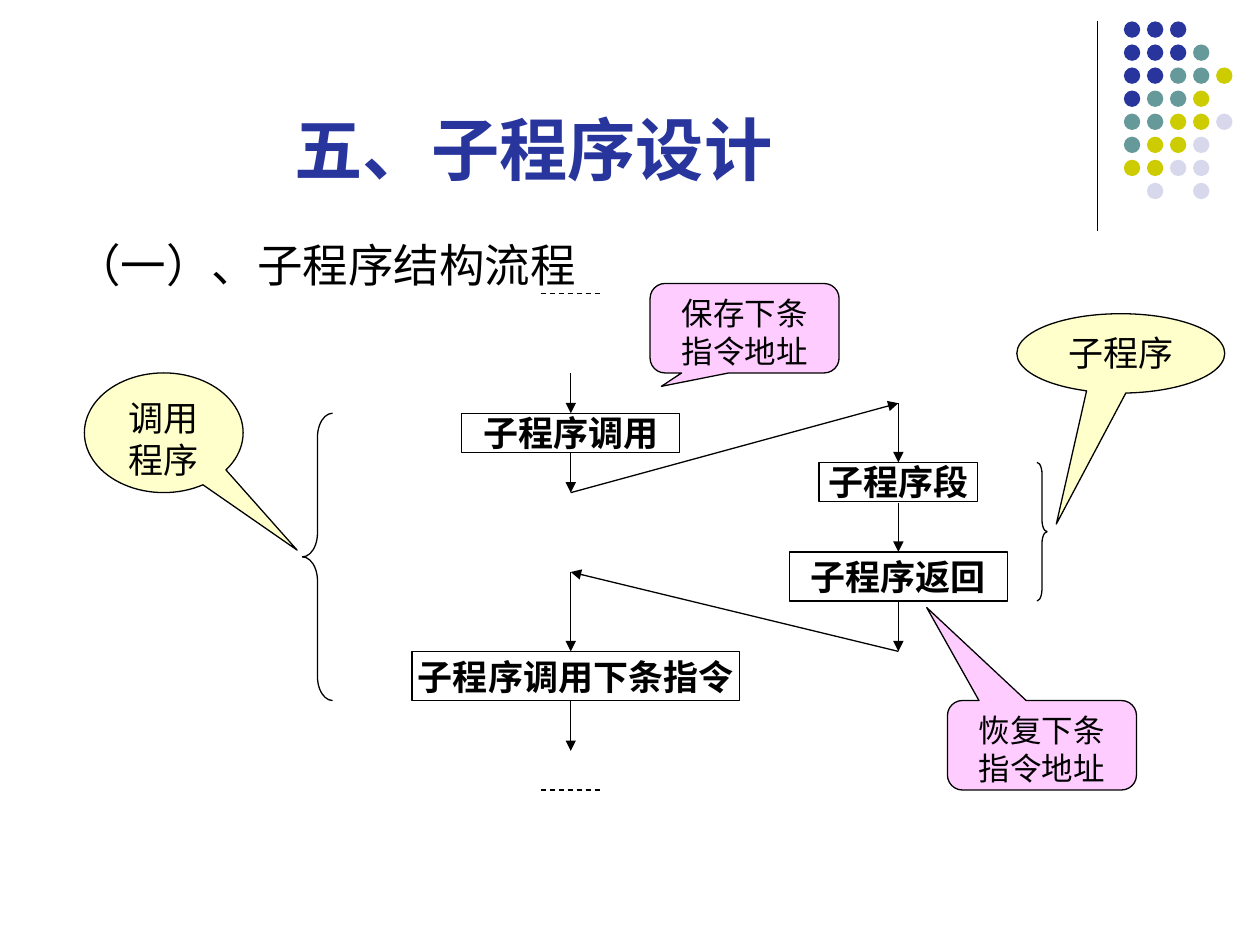
"""Build the slide on the structure and flow of a subroutine."""
from lxml.etree import SubElement
from pptx import Presentation
from pptx.dml.color import RGBColor
from pptx.enum.dml import MSO_LINE
from pptx.enum.shapes import MSO_CONNECTOR, MSO_SHAPE
from pptx.enum.text import MSO_ANCHOR, PP_ALIGN
from pptx.oxml.ns import qn
from pptx.util import Inches, Pt

THEME = {
    "font": "Arial",
    "ink": RGBColor.from_string("000000"),
    "title": RGBColor.from_string("27359D"),
    "yellow": RGBColor.from_string("FFFFCC"),
    "pink": RGBColor.from_string("FFCCFF"),
    "dots": {
        "B": RGBColor.from_string("27359D"),
        "T": RGBColor.from_string("669999"),
        "Y": RGBColor.from_string("CCCC00"),
        "L": RGBColor.from_string("D8D8EC"),
    },
    "title_size": Pt(39),
    "body_size": Pt(26),
    "label_size": Pt(20),
    "note_size": Pt(18),
    "line": Pt(0.75),
}


def add_shape(kind, box, fill=None, line=True):
    sp = s.shapes.add_shape(kind, *map(Inches, box))
    sp.shadow.inherit = False
    if fill is None:
        sp.fill.background()
    else:
        sp.fill.solid()
        sp.fill.fore_color.rgb = fill
    if line:
        sp.line.color.rgb = THEME["ink"]
        sp.line.width = THEME["line"]
    else:
        sp.line.fill.background()
    return sp


def write(sp, text, size, color, bold=False, align=PP_ALIGN.CENTER, anchor=MSO_ANCHOR.TOP, wrap=True):
    tf = sp.text_frame
    tf.text = text
    tf.word_wrap = wrap
    tf.vertical_anchor = anchor
    p = tf.paragraphs[0]
    p.alignment = align
    r = p.runs[0]
    r.font.name = THEME["font"]
    r.font.size = size
    r.font.bold = bold
    r.font.color.rgb = color
    return p


prs = Presentation()
prs.slide_width, prs.slide_height = Inches(10), Inches(7.5)
s = prs.slides.add_slide(prs.slide_layouts[6])

dot_rows = ["BBB", "BBBT", "BBTTY", "BTTY", "TTYYL", "TYYL", "YYLL", " L L"]
for row, codes in enumerate(dot_rows):
    for col, code in enumerate(codes):
        if code != " ":
            box = (8.92 + col * 0.183, 0.17 + row * 0.183, 0.13, 0.13)
            add_shape(MSO_SHAPE.OVAL, box, THEME["dots"][code], line=False)

title = s.shapes.add_textbox(Inches(2.24), Inches(0.13), Inches(5.2), Inches(1.42))
write(title, "五、子程序设计", THEME["title_size"], THEME["title"], bold=True,
      align=PP_ALIGN.LEFT, anchor=MSO_ANCHOR.BOTTOM)

heading = s.shapes.add_textbox(Inches(0.5), Inches(1.88), Inches(9), Inches(0.49))
p = write(heading, "（一）、子程序结构流程", THEME["body_size"], THEME["ink"], align=PP_ALIGN.LEFT)
p.line_spacing = 0.9

main_x, sub_x = 4.53, 7.13
steps = [
    ("子程序调用", main_x, 3.28, 1.73, 0.31),
    ("子程序调用下条指令", main_x + 0.04, 5.17, 2.6, 0.39),
    ("子程序段", sub_x, 3.67, 1.26, 0.31),
    ("子程序返回", sub_x, 4.38, 1.73, 0.39),
]
for text, center, top, width, height in steps:
    sp = add_shape(MSO_SHAPE.FLOWCHART_PROCESS, (center - width / 2, top, width, height))
    write(sp, text, THEME["label_size"], THEME["ink"], bold=True, anchor=MSO_ANCHOR.MIDDLE, wrap=False)

lines = [
    ("plain", 8.71, 0.17, 8.71, 1.83),
    ("dash", 4.29, 2.33, 4.77, 2.33),
    ("dash", 4.29, 6.27, 4.77, 6.27),
    ("arrow", main_x, 2.96, main_x, 3.28),
    ("arrow", main_x, 3.59, main_x, 3.91),
    ("arrow", main_x, 3.91, sub_x, 3.2),
    ("arrow", sub_x, 3.2, sub_x, 3.67),
    ("arrow", sub_x, 3.99, sub_x, 4.38),
    ("arrow", sub_x, 4.77, sub_x, 5.17),
    ("arrow", sub_x, 5.17, main_x, 4.54),
    ("arrow", main_x, 4.54, main_x, 5.17),
    ("arrow", main_x, 5.56, main_x, 5.96),
]
for style, *ends in lines:
    line = s.shapes.add_connector(MSO_CONNECTOR.STRAIGHT, *map(Inches, ends))
    line.line.color.rgb = THEME["ink"]
    line.line.width = THEME["line"]
    if style == "dash":
        line.line.dash_style = MSO_LINE.DASH
    if style == "arrow":
        SubElement(line.line._get_or_add_ln(), qn("a:tailEnd"), type="triangle")
    SubElement(line._element.spPr, qn("a:effectLst"))

braces = [
    (MSO_SHAPE.LEFT_BRACE, (2.4, 3.28, 0.24, 2.28), 0.79),
    (MSO_SHAPE.RIGHT_BRACE, (8.23, 3.67, 0.08, 1.1), 1.18),
]
for kind, box, curve in braces:
    add_shape(kind, box).adjustments[0] = curve

ellipse, rounded = MSO_SHAPE.OVAL_CALLOUT, MSO_SHAPE.ROUNDED_RECTANGULAR_CALLOUT
callouts = [
    ("调用程序", ellipse, (0.67, 2.96, 1.26, 0.95), (0.84, 0.98), "yellow", "label_size"),
    ("子程序", ellipse, (8.07, 2.49, 1.65, 0.63), (-0.31, 2.15), "yellow", "label_size"),
    ("保存下条指令地址", rounded, (5.16, 2.25, 1.5, 0.71), (-0.44, 0.65), "pink", "note_size"),
    ("恢复下条指令地址", rounded, (7.52, 5.56, 1.5, 0.71), (-0.61, -1.54), "pink", "note_size"),
]
for text, kind, box, tip, fill, size in callouts:
    sp = add_shape(kind, box, THEME[fill])
    sp.adjustments[0], sp.adjustments[1] = tip
    write(sp, text, THEME[size], THEME["ink"])

prs.save("out.pptx")
